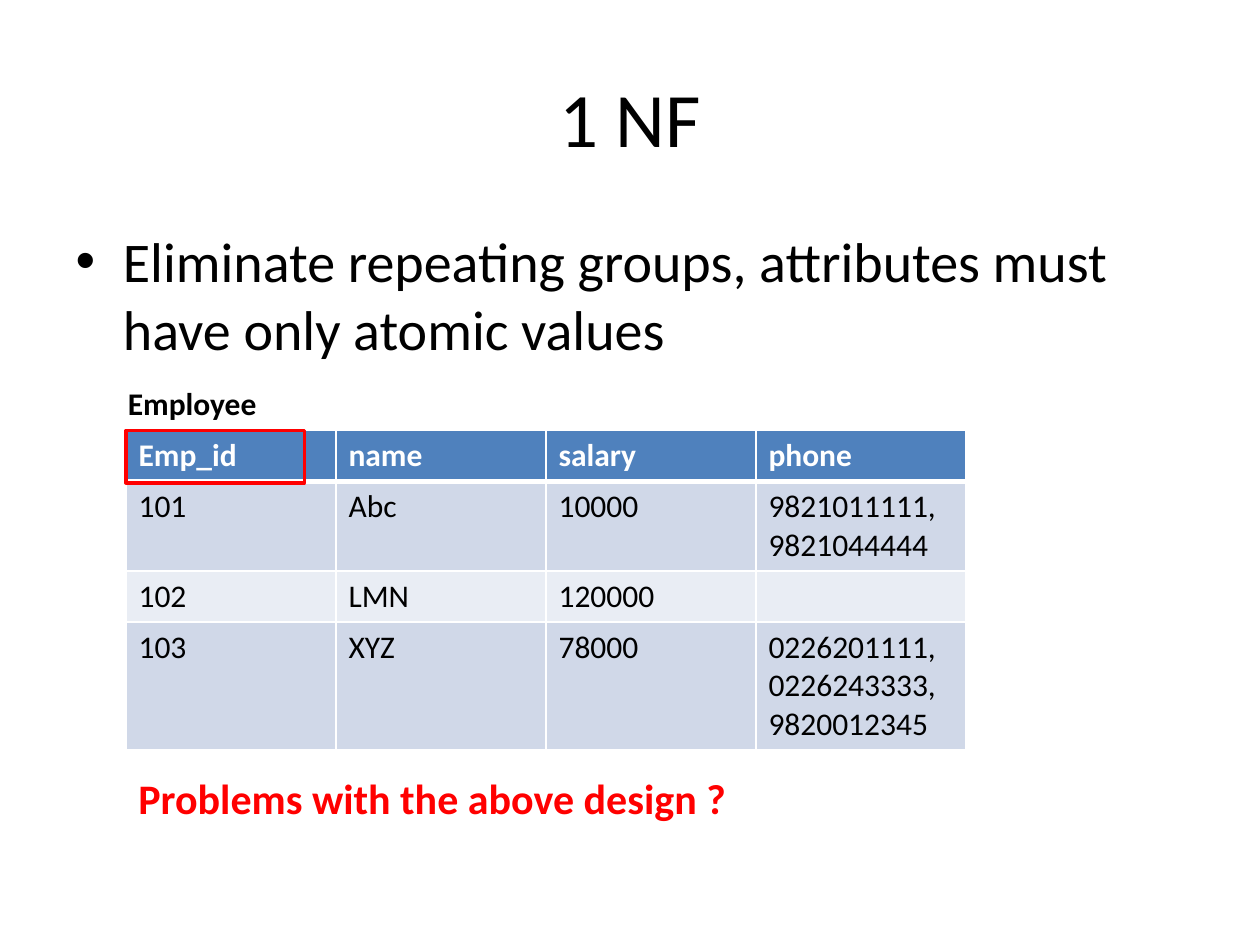
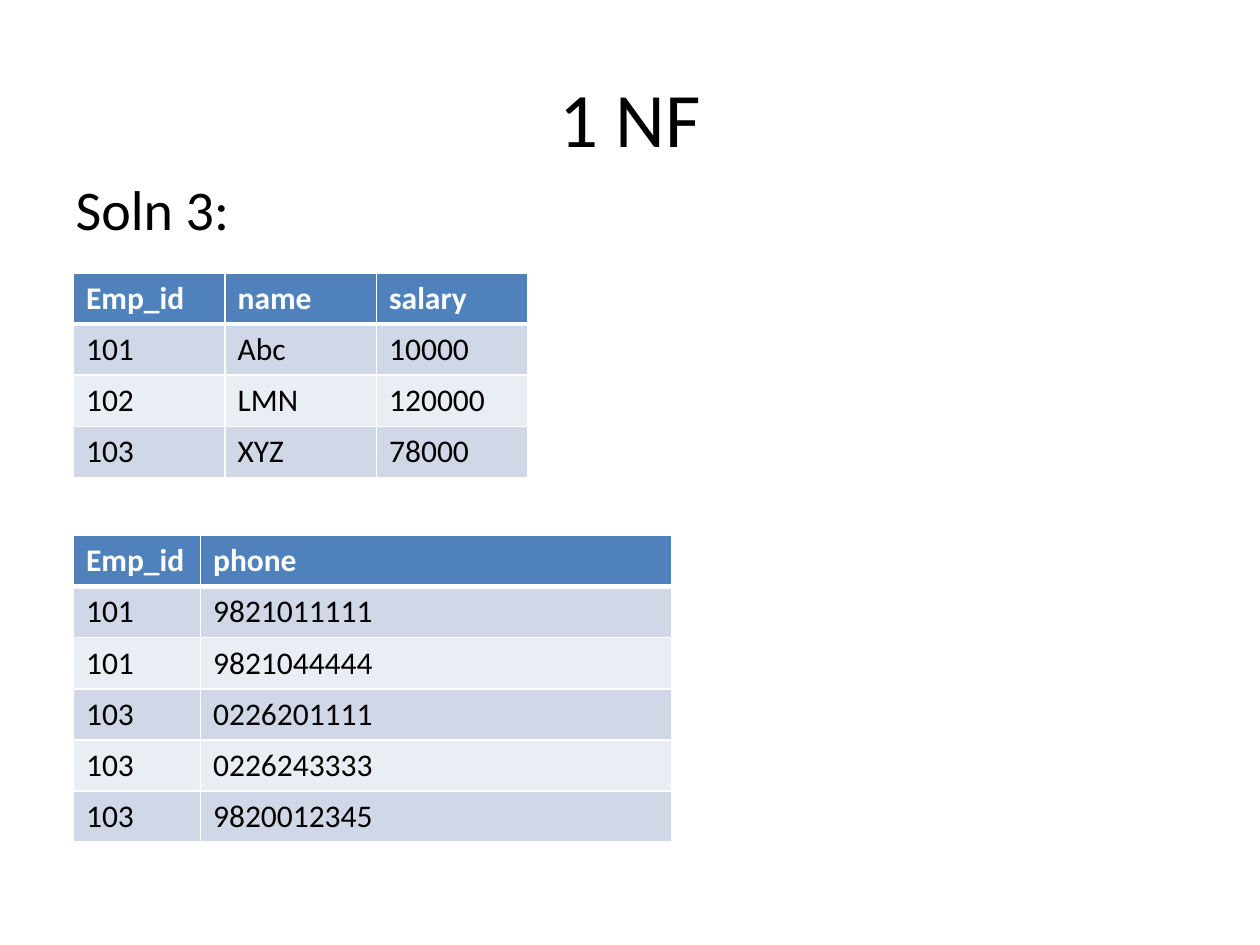
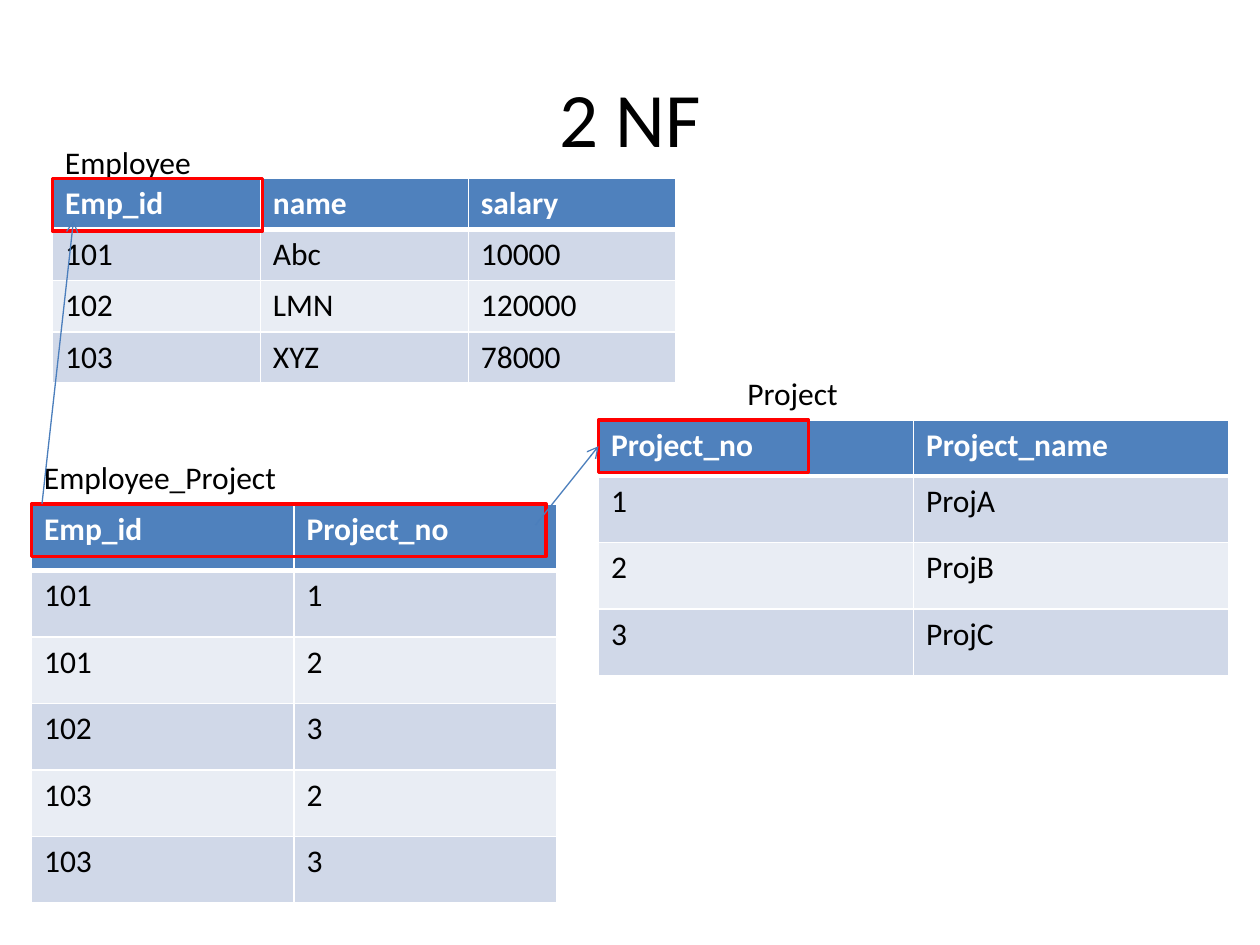
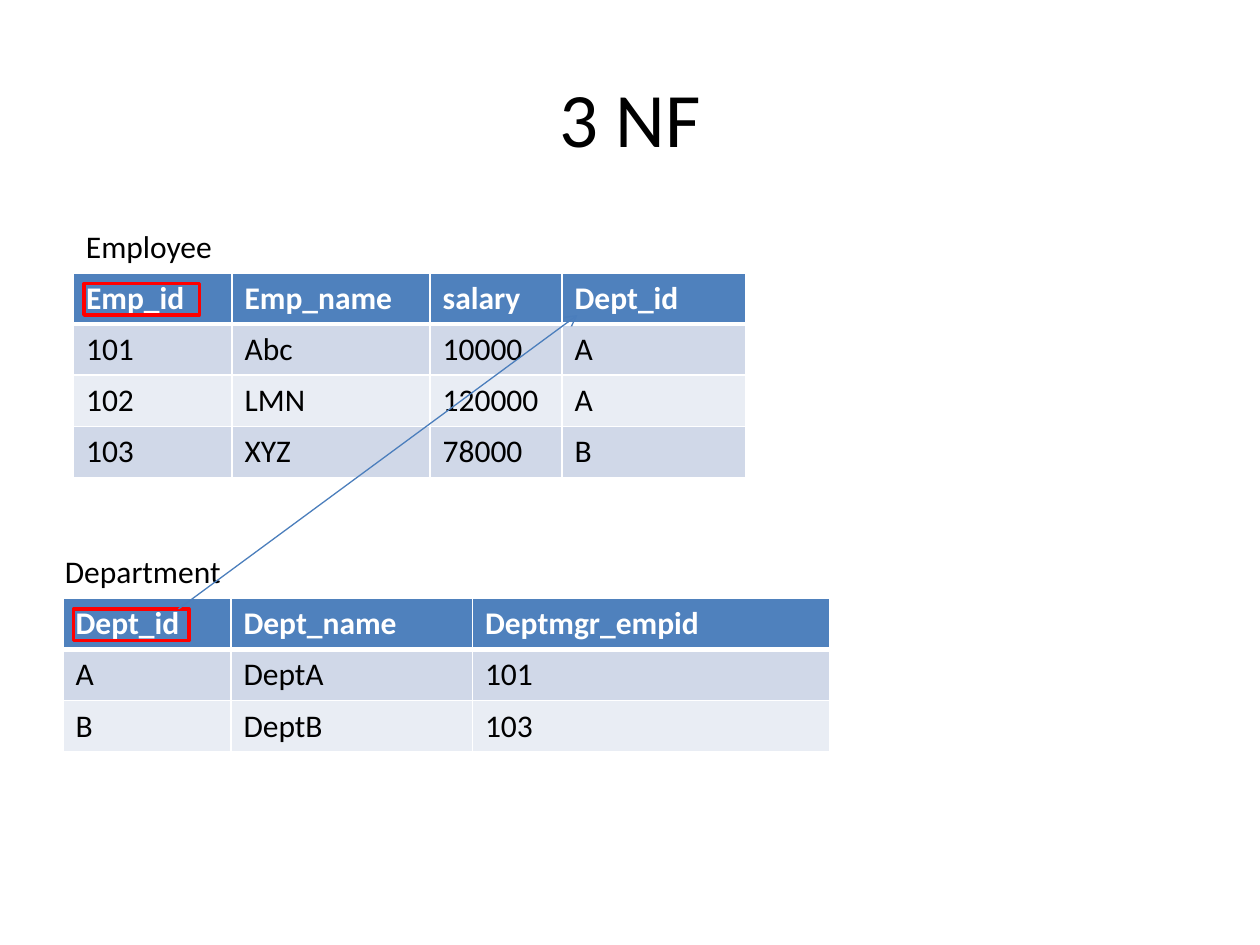
from dataclasses import dataclass
from lxml.etree import SubElement
from pptx import Presentation
from pptx.dml.color import RGBColor
from pptx.enum.shapes import MSO_CONNECTOR, MSO_SHAPE
from pptx.enum.text import MSO_ANCHOR, MSO_AUTO_SIZE, PP_ALIGN
from pptx.oxml.ns import qn
from pptx.util import Pt


@dataclass(frozen=True)
class Theme:
    font: str = "Calibri"
    black: str = "000000"
    white: str = "FFFFFF"
    red: str = "FF0000"
    head: str = "4F81BD"
    bands: tuple = ("D0D8E8", "E9EDF4")
    arrow: str = "4B7EBC"
    title: int = 44
    body: int = 32
    note: int = 24
    text: int = 18


theme = Theme()
ROW = 29.2
STAFF = [
    ("101", "Abc", "10000"),
    ("102", "LMN", "120000"),
    ("103", "XYZ", "78000"),
]
PHONES = [
    ("9821011111", "9821044444"),
    (),
    ("0226201111", "0226243333", "9820012345"),
]
PAY = [("Emp_id", "name", "salary")] + STAFF


def paint(color):
    return RGBColor.from_string(color)


def say(frame, text, size=theme.text, color=theme.black, bold=False, align=None):
    para = frame.paragraphs[0]
    para.alignment = align
    run = para.add_run()
    run.text = text
    font = run.font
    font.name, font.size, font.bold = theme.font, Pt(size), bold
    font.color.rgb = paint(color)


def place(shape, left, top, width, height):
    shape.left, shape.top = Pt(left), Pt(top)
    shape.width, shape.height = Pt(width), Pt(height)


def add_slide(deck, title, body=False):
    slide = deck.slides.add_slide(deck.slide_layouts[1 if body else 5])
    shape = slide.shapes.title
    place(shape, 36, 21.6, 648, 90)
    shape.text_frame.vertical_anchor = MSO_ANCHOR.MIDDLE
    say(shape.text_frame, title, size=theme.title, align=PP_ALIGN.CENTER)
    return slide


def add_body(slide, text, top, bullet=True):
    shape = slide.placeholders[1]
    place(shape, 36, top, 648, 356.4)
    say(shape.text_frame, text, size=theme.body)
    props = shape.text_frame.paragraphs[0]._p.get_or_add_pPr()
    props.set("marL", str(Pt(27)))
    props.set("indent", str(Pt(-27)))
    if bullet:
        SubElement(props, qn("a:buChar"), char="•")
    else:
        SubElement(props, qn("a:buNone"))


def add_label(slide, text, left, top, width, height=29, **style):
    box = slide.shapes.add_textbox(Pt(left), Pt(top), Pt(width), Pt(height))
    box.text_frame.word_wrap = False
    box.text_frame.auto_size = MSO_AUTO_SIZE.SHAPE_TO_FIT_TEXT
    say(box.text_frame, text, **style)


def edge(cell, **sides):
    props = cell._tc.get_or_add_tcPr()
    for side, width in sides.items():
        line = SubElement(props, qn(f"a:ln{side}"), w=str(Pt(width)))
        fill = SubElement(line, qn("a:solidFill"))
        SubElement(fill, qn("a:srgbClr"), val=theme.white)


def add_grid(slide, rows, left, top, widths, heights=None):
    heights = heights or [ROW] * len(rows)
    shape = slide.shapes.add_table(
        len(rows), len(widths), Pt(left), Pt(top), Pt(sum(widths)), Pt(sum(heights))
    )
    table = shape.table
    for col, width in zip(table.columns, widths):
        col.width = Pt(width)
    for i, (row, height) in enumerate(zip(rows, heights)):
        table.rows[i].height = Pt(height)
        head = i == 0
        for j, text in enumerate(row):
            cell = table.cell(i, j)
            edge(cell, L=1, R=1, T=3 if i == 1 else 1, B=3 if head else 1)
            cell.fill.solid()
            cell.fill.fore_color.rgb = paint(theme.head if head else theme.bands[(i - 1) % 2])
            if text:
                say(cell.text_frame, text, bold=head, color=theme.white if head else theme.black)


def add_key(slide, left, top, width, height=30):
    shape = slide.shapes.add_shape(
        MSO_SHAPE.RECTANGLE, Pt(left), Pt(top), Pt(width), Pt(height)
    )
    shape.shadow.inherit = False
    shape.fill.background()
    shape.line.color.rgb = paint(theme.red)
    shape.line.width = Pt(2)


def add_arrow(slide, start, end):
    link = slide.shapes.add_connector(
        MSO_CONNECTOR.STRAIGHT, *(Pt(n) for n in (*start, *end))
    )
    link.line.color.rgb = paint(theme.arrow)
    link.line.width = Pt(0.75)
    SubElement(link.line._get_or_add_ln(), qn("a:tailEnd"), type="arrow")
    SubElement(link._element.spPr, qn("a:effectLst"))


def first_form(deck):
    slide = add_slide(deck, "1 NF", body=True)
    add_body(slide, "Eliminate repeating groups, attributes must have only atomic values", 126)
    rows = [(*PAY[0], "phone")]
    rows += [(*who, ", ".join(nums)) for who, nums in zip(STAFF, PHONES)]
    add_grid(slide, rows, 72, 246, [120] * 4, [ROW, 50.4, ROW, 72])
    add_label(slide, "Problems with the above design ?", 72, 438, 353.5, 36,
              size=theme.note, color=theme.red, bold=True)
    add_label(slide, "Employee", 66, 216, 88.5, bold=True)
    add_key(slide, 72, 246, 102)


def split_form(deck):
    slide = add_slide(deck, "1 NF", body=True)
    add_body(slide, "Soln 3:", 96, bullet=False)
    add_grid(slide, PAY, 42, 156, [86.6] * 3)
    rows = [("Emp_id", "phone")]
    rows += [(who[0], num) for who, nums in zip(STAFF, PHONES) for num in nums]
    add_grid(slide, rows, 42, 306, [72.6, 269.4])


def second_form(deck):
    slide = add_slide(deck, "2 NF")
    jobs = [("Project_no", "Project_name")]
    jobs += [(str(n), f"Proj{mark}") for n, mark in enumerate("ABC", 1)]
    add_grid(slide, jobs, 342, 240, [180] * 2, [32] + [38] * 3)
    add_grid(slide, PAY, 30, 102, [118.8] * 3)
    links = [("Emp_id", "Project_no"), ("101", "1"), ("101", "2"),
             ("102", "3"), ("103", "2"), ("103", "3")]
    add_grid(slide, links, 18, 288, [150] * 2, [38] * 6)
    add_label(slide, "Employee", 30, 78, 87)
    add_label(slide, "Project", 420, 210, 67)
    add_label(slide, "Employee_Project", 18, 258, 148.5)
    add_key(slide, 30, 102, 120)
    add_key(slide, 18, 288, 294)
    add_key(slide, 342, 240, 120)
    add_arrow(slide, (24, 288), (42, 126))
    add_arrow(slide, (306, 300), (342, 255))


def third_form(deck):
    slide = add_slide(deck, "3 NF")
    units = [("Dept_id", "Dept_name", "Deptmgr_empid"),
             ("A", "DeptA", "101"), ("B", "DeptB", "103")]
    add_grid(slide, units, 36, 342, [96, 138, 204])
    rows = [("Emp_id", "Emp_name", "salary", "Dept_id")]
    rows += [(*who, unit) for who, unit in zip(STAFF, "AAB")]
    add_grid(slide, rows, 42, 156, [90.6, 113.2, 75.4, 104.8])
    add_key(slide, 48, 162, 66, 18)
    add_key(slide, 42, 348, 66, 18)
    add_label(slide, "Employee", 42, 126, 87)
    add_label(slide, "Department", 30, 312, 104.5)
    add_arrow(slide, (102, 348), (330, 180))


def main():
    deck = Presentation()
    deck.slide_width, deck.slide_height = Pt(720), Pt(540)
    for build in (first_form, split_form, second_form, third_form):
        build(deck)
    deck.save("out.pptx")


main()
